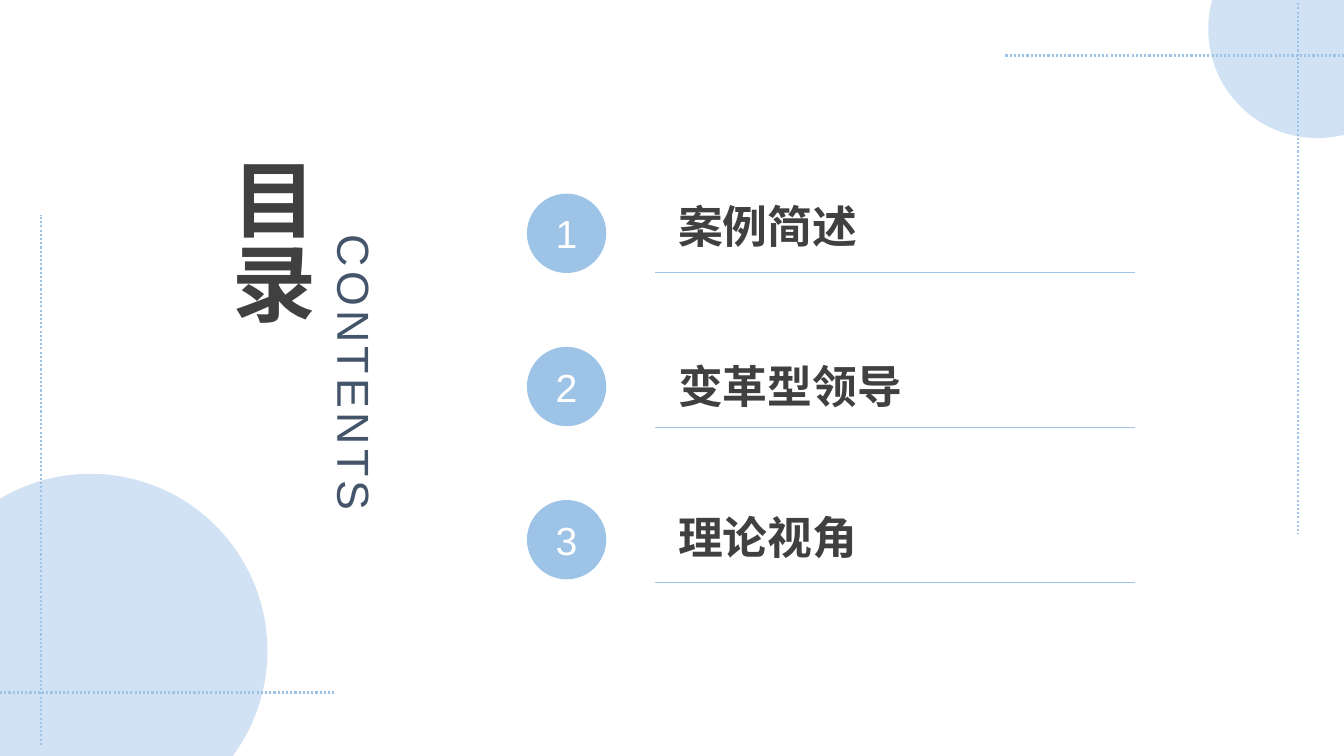
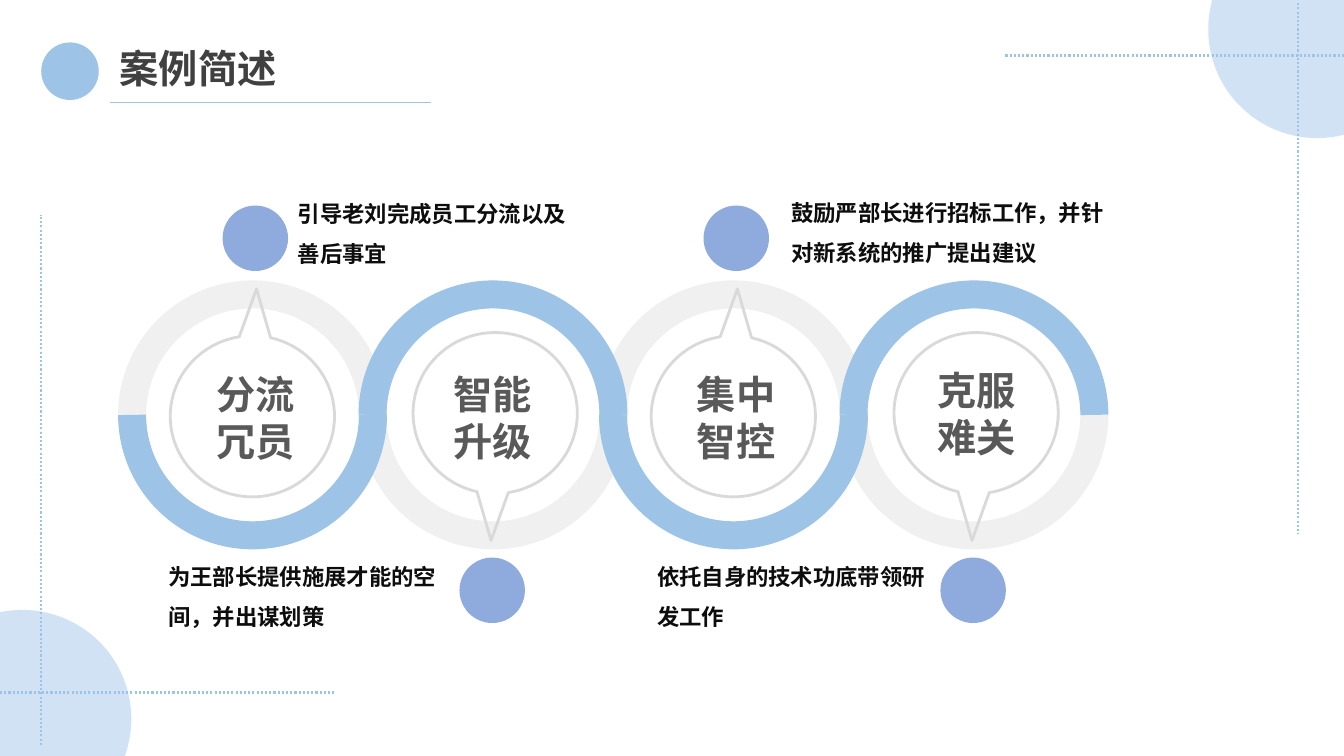
"""Build a contents slide and a four-ring case overview slide."""
from lxml.etree import SubElement
from pptx import Presentation
from pptx.dml.color import RGBColor
from pptx.enum.dml import MSO_LINE
from pptx.enum.shapes import MSO_CONNECTOR, MSO_SHAPE
from pptx.enum.text import MSO_ANCHOR, PP_ALIGN
from pptx.oxml.ns import qn
from pptx.util import Cm, Pt

BLUE = RGBColor(0x9D, 0xC3, 0xE6)
PALE_BLUE = RGBColor(0xBD, 0xD7, 0xEE)
PERIWINKLE = RGBColor(0x8F, 0xAA, 0xDC)
SLATE = RGBColor(0x44, 0x54, 0x6A)
CHARCOAL = RGBColor(0x40, 0x40, 0x40)
GRAY = RGBColor(0x59, 0x59, 0x59)
LIGHT_GRAY = RGBColor(0xD9, 0xD9, 0xD9)
NEAR_BLACK = RGBColor(0x0D, 0x0D, 0x0D)
WHITE = RGBColor(0xFF, 0xFF, 0xFF)
LATIN_FONT = "Arial"
CHINESE_FONT = "Noto Sans CJK SC"

CHAPTERS = [("案例简述", 4.88), ("变革型领导", 8.92), ("理论视角", 12.73)]
STAGES = [
    {"label": "分流冗员", "label_at": (4.93, 9.19),
     "note": "引导老刘完成员工分流以及善后事宜", "note_box": (7.26, 4.57, 7.39, 2.31)},
    {"label": "智能升级", "label_at": (10.9, 9.19),
     "note": "为王部长提供施展才能的空间，并出谋划策", "note_box": (3.99, 13.72, 7.39, 2.31)},
    {"label": "集中智控", "label_at": (17.04, 9.19),
     "note": "鼓励严部长进行招标工作，并针对新系统的推广提出建议",
     "note_box": (19.69, 4.55, 8.74, 2.31)},
    {"label": "克服难关", "label_at": (23.11, 9.09),
     "note": "依托自身的技术功底带领研发工作", "note_box": (16.31, 13.72, 7.39, 2.31)},
]
DOTTED_LINES = [
    (33.87, 1.4, 25.32, 1.4), (32.72, 0.08, 32.72, 13.44),
    (0, 17.45, 8.43, 17.45), (1.04, 18.77, 1.04, 5.41),
]
CORNER_BOTTOM = 20.86
RING_LEFT, RING_TOP, RING_SIZE, RING_STEP = 3.33, 7.42, 6.07, 6.06
TOP_HALF, BOTTOM_HALF = (108, 0), (0, 108)


def add_figure(slide, kind, box, fill=None, line=None, width=0, opacity=100):
    shape = slide.shapes.add_shape(kind, *map(Cm, box))
    shape.shadow.inherit = False
    if fill is None:
        shape.fill.background()
    else:
        shape.fill.solid()
        shape.fill.fore_color.rgb = fill
    if line is None:
        shape.line.fill.background()
    else:
        shape.line.color.rgb = line
        shape.line.width = Pt(width)
    if opacity < 100:
        for color in shape._element.iter(qn("a:srgbClr")):
            SubElement(color, qn("a:alpha"), val=str(opacity * 1000))
    return shape


def add_circle(slide, left, top, size, fill, opacity=100):
    return add_figure(slide, MSO_SHAPE.OVAL, (left, top, size, size), fill, opacity=opacity)


def add_line(slide, points, width=0.5, dash=None):
    connector = slide.shapes.add_connector(MSO_CONNECTOR.STRAIGHT, *map(Cm, points))
    connector.line.color.rgb = BLUE
    connector.line.width = Pt(width)
    if dash is not None:
        connector.line.dash_style = dash
    SubElement(connector._element.spPr, qn("a:effectLst"))


def write_text(shape, text, size, color, font=CHINESE_FONT, align=None):
    paragraph = shape.text_frame.paragraphs[0]
    paragraph.text = text
    paragraph.alignment = align
    paragraph.font.size = Pt(size)
    paragraph.font.bold = font == CHINESE_FONT
    paragraph.font.color.rgb = color
    paragraph.font.name = font
    properties = paragraph._p.get_or_add_pPr().get_or_add_defRPr()
    SubElement(properties, qn("a:ea"), typeface=font)
    return paragraph


def add_text(slide, box, text, size, color, font=CHINESE_FONT, align=None,
             anchor=MSO_ANCHOR.TOP, wrap=True, vertical=False):
    text_box = slide.shapes.add_textbox(*map(Cm, box))
    frame = text_box.text_frame
    frame.word_wrap = wrap
    frame.vertical_anchor = anchor
    if vertical:
        frame._txBody.bodyPr.set("vert", "eaVert")
    return write_text(text_box, text, size, color, font, align)


def add_base_slide(presentation, corner_size):
    slide = presentation.slides.add_slide(presentation.slide_layouts[6])
    add_circle(slide, 30.45, -2.01, 5.49, PALE_BLUE, 70)
    add_circle(slide, -2.18, CORNER_BOTTOM - corner_size, corner_size, PALE_BLUE, 70)
    for points in DOTTED_LINES:
        add_line(slide, points, 1.5, MSO_LINE.ROUND_DOT)
    return slide


def add_contents_slide(presentation):
    slide = add_base_slide(presentation, 8.92)
    heading = add_text(slide, (5.13, 3.71, 2.82, 5.89), "目录", 60, CHARCOAL,
                       align=PP_ALIGN.JUSTIFY, vertical=True)
    heading.line_spacing = 0.9
    heading.space_before = Pt(10)
    subtitle = add_text(slide, (7.95, 5.66, 2.01, 7.77), "CONTENTS", 32, SLATE, LATIN_FONT,
                        PP_ALIGN.CENTER, MSO_ANCHOR.MIDDLE, wrap=False, vertical=True)
    subtitle._p.pPr.get_or_add_defRPr().set("spc", "300")
    for index, (chapter, top) in enumerate(CHAPTERS):
        badge = add_circle(slide, 13.28, 4.88 + 3.86 * index, 2, BLUE)
        write_text(badge, str(index + 1), 28, WHITE, LATIN_FONT, PP_ALIGN.CENTER)
        add_text(slide, (16.84, top, 9.17, 1.63), chapter, 32, CHARCOAL)
        line_y = 6.86 + 3.91 * index
        add_line(slide, (16.51, line_y, 28.6, line_y))


def add_half_ring(slide, index, half, color, opacity=100):
    box = (RING_LEFT + RING_STEP * index, RING_TOP, RING_SIZE, RING_SIZE)
    arc = add_figure(slide, MSO_SHAPE.ARC, box, line=color, width=20, opacity=opacity)
    arc.adjustments[0], arc.adjustments[1] = half


def add_stage(slide, index, stage):
    left = RING_LEFT + RING_STEP * index
    points_up = index % 2 == 0
    callout_at = (left + 0.96, 8.46) if points_up else (left + 1.02, 8.38)
    callout = add_figure(slide, MSO_SHAPE.OVAL_CALLOUT, (*callout_at, 4.14, 4.06),
                         line=LIGHT_GRAY, width=2)
    callout.adjustments[0], callout.adjustments[1] = -0.025, 0.791
    callout.rotation = 180 if points_up else 0
    dot_at = (left + 2.28, 5.18) if points_up else (left + 2.19, 14.05)
    add_circle(slide, *dot_at, 1.65, PERIWINKLE)
    add_text(slide, (*stage["label_at"], 3.02, 2.64), stage["label"], 28, GRAY,
             align=PP_ALIGN.CENTER, anchor=MSO_ANCHOR.MIDDLE)
    note = add_text(slide, stage["note_box"], stage["note"], 16, NEAR_BLACK)
    note.line_spacing = 1.5


def add_case_slide(presentation):
    slide = add_base_slide(presentation, 5.49)
    add_circle(slide, 1.04, 1.07, 1.45, BLUE)
    add_line(slide, (2.77, 2.59, 10.85, 2.59))
    add_text(slide, (2.77, 0.99, 10.52, 1.45), CHAPTERS[0][0], 28, CHARCOAL)
    halves = [TOP_HALF, BOTTOM_HALF]
    for index in range(len(STAGES)):
        add_half_ring(slide, index, halves[index % 2], CHARCOAL, 8)
    for index in range(len(STAGES)):
        add_half_ring(slide, index, halves[(index + 1) % 2], BLUE)
    for index, stage in enumerate(STAGES):
        add_stage(slide, index, stage)


def main():
    presentation = Presentation()
    presentation.slide_width = Cm(33.87)
    presentation.slide_height = Cm(19.05)
    add_contents_slide(presentation)
    add_case_slide(presentation)
    presentation.save("out.pptx")


if __name__ == "__main__":
    main()
